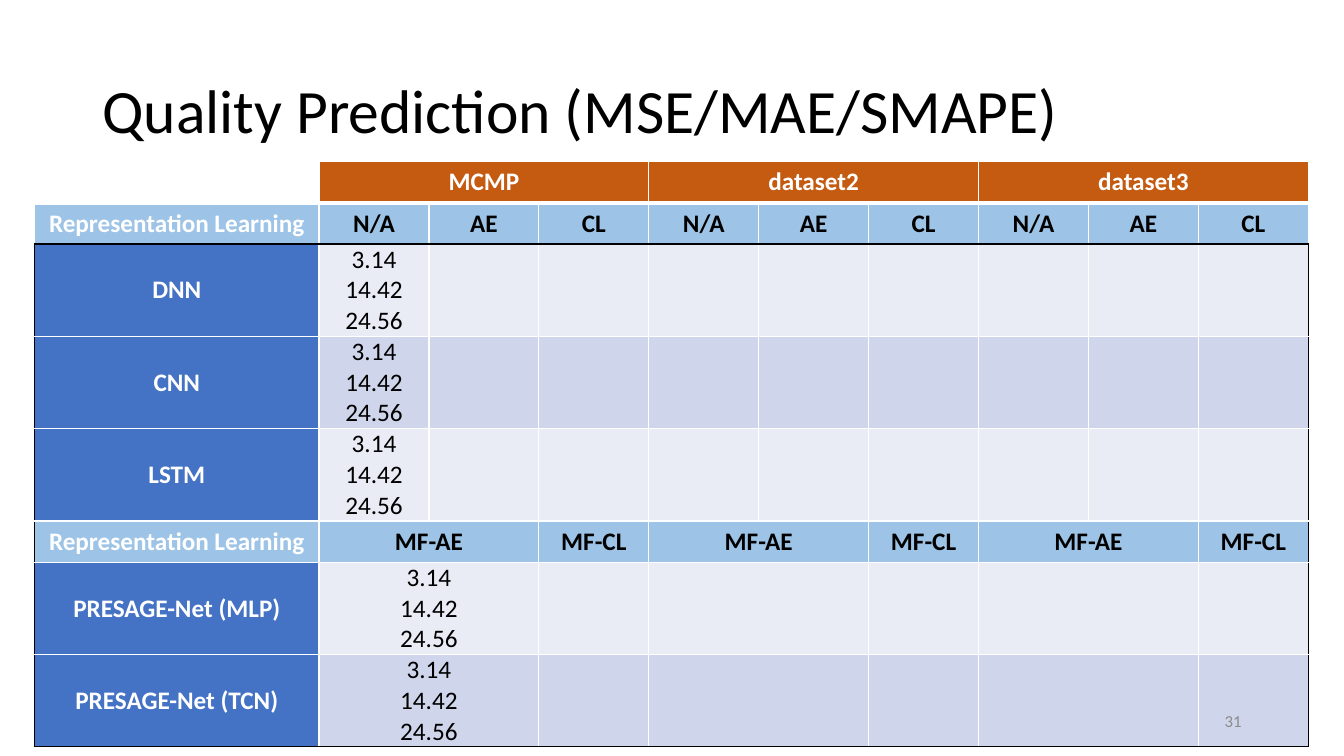
import pptx
import pptx.dml.color
import pptx.enum.text
import pptx.oxml
import pptx.oxml.ns
import pptx.util
from dataclasses import dataclass
from pptx.util import Cm


@dataclass(frozen=True)
class Theme:
    font: str = "Calibri"
    title_size: int = 44
    table_size: int = 18
    number_size: int = 12
    black: str = "000000"
    white: str = "FFFFFF"
    grey: str = "8C8C8C"
    orange: str = "C55A11"
    sky: str = "9DC3E6"
    blue: str = "4472C4"
    light_band: str = "E9EBF5"
    dark_band: str = "CFD5EA"


THEME = Theme()
DATASETS = ["MCMP", "dataset2", "dataset3"]
SCORES = "3.14\n14.42\n24.56"
LABEL_WIDTH, METHOD_WIDTH = Cm(7.17), Cm(2.77)
HEADER_HEIGHT, SCORE_HEIGHT = Cm(1.04), Cm(2.32)


@dataclass(frozen=True)
class Row:
    label: str
    entries: list
    label_fill: str
    fill: str
    color: str = THEME.black
    bold: bool = True


def score_row(label, spans, fill):
    groups = spans * len(DATASETS)
    entries = [(SCORES if place == 0 else "", span) for place, span in enumerate(groups)]
    return Row(label, entries, THEME.blue, fill, bold=False)


def method_row(methods):
    return Row("Representation Learning", methods * len(DATASETS), THEME.sky, THEME.sky)


def table_rows():
    light, dark = THEME.light_band, THEME.dark_band
    single, fused = [1, 1, 1], [2, 1]
    return [
        Row("", [(name, 3) for name in DATASETS], "", THEME.orange, THEME.white),
        method_row([("N/A", 1), ("AE", 1), ("CL", 1)]),
        score_row("DNN", single, light),
        score_row("CNN", single, dark),
        score_row("LSTM", single, light),
        method_row([("MF-AE", 2), ("MF-CL", 1)]),
        score_row("PRESAGE-Net (MLP)", fused, light),
        score_row("PRESAGE-Net (TCN)", fused, dark),
    ]


def format_text(frame, size, color, align, bold=False):
    for para in frame.paragraphs:
        para.alignment = align
        para.font.name = THEME.font
        para.font.size = pptx.util.Pt(size)
        para.font.bold = bold
        para.font.color.rgb = pptx.dml.color.RGBColor.from_string(color)


def set_borders(cell, row, column, last_row, last_column):
    framed = row >= 2
    black_edges = {
        "L": framed and column == 0,
        "R": framed and column == last_column,
        "T": row == 2,
        "B": row in (1, last_row),
    }
    properties = cell._tc.get_or_add_tcPr()
    for side, is_black in black_edges.items():
        width = pptx.util.Pt(3 if row == 0 and side == "B" else 1)
        color = THEME.black if is_black else THEME.white
        properties.append(pptx.oxml.parse_xml(
            f'<a:ln{side} {pptx.oxml.ns.nsdecls("a")} w="{int(width)}">'
            f'<a:solidFill><a:srgbClr val="{color}"/></a:solidFill></a:ln{side}>'))


def fill_cell(cell, text, fill, color, bold):
    if fill:
        cell.fill.solid()
        cell.fill.fore_color.rgb = pptx.dml.color.RGBColor.from_string(fill)
    else:
        cell.fill.background()
    cell.vertical_anchor = pptx.enum.text.MSO_ANCHOR.MIDDLE
    cell.margin_left = cell.margin_right = cell.margin_top = cell.margin_bottom = 0
    if text:
        cell.text = text
    format_text(cell.text_frame, THEME.table_size, color, pptx.enum.text.PP_ALIGN.CENTER, bold)


def add_title(page, text):
    title = page.shapes.title
    title.left, title.top, title.width, title.height = Cm(2.33), Cm(1.01), Cm(29.21), Cm(3.68)
    frame = title.text_frame
    frame.text = text
    frame.auto_size = pptx.enum.text.MSO_AUTO_SIZE.NONE
    frame.vertical_anchor = pptx.enum.text.MSO_ANCHOR.MIDDLE
    frame.paragraphs[0].line_spacing = 0.9
    format_text(frame, THEME.title_size, THEME.black, pptx.enum.text.PP_ALIGN.LEFT)


def add_results_table(page, rows):
    column_count = 1 + sum(span for _, span in rows[0].entries)
    heights = [HEADER_HEIGHT if row.bold else SCORE_HEIGHT for row in rows]
    width = LABEL_WIDTH + METHOD_WIDTH * (column_count - 1)
    table = page.shapes.add_table(
        len(rows), column_count, Cm(0.87), Cm(4.07), width, sum(heights)).table
    table.first_row = table.horz_banding = False
    for index, column in enumerate(table.columns):
        column.width = METHOD_WIDTH if index else LABEL_WIDTH
    for index, row in enumerate(rows):
        table.rows[index].height = heights[index]
        for column in range(column_count):
            set_borders(table.cell(index, column), index, column, len(rows) - 1, column_count - 1)
        fill_cell(table.cell(index, 0), row.label, row.label_fill, THEME.white, True)
        column = 1
        for text, span in row.entries:
            cell = table.cell(index, column)
            if span > 1:
                cell.merge(table.cell(index, column + span - 1))
            fill_cell(cell, text, row.fill, row.color, row.bold)
            column += span


def add_page_number(page, number):
    box = page.shapes.add_textbox(Cm(23.92), Cm(17.65), Cm(7.62), Cm(1.01))
    frame = box.text_frame
    frame.word_wrap = True
    frame.vertical_anchor = pptx.enum.text.MSO_ANCHOR.MIDDLE
    frame.text = number
    format_text(frame, THEME.number_size, THEME.grey, pptx.enum.text.PP_ALIGN.RIGHT)


def main():
    deck = pptx.Presentation()
    deck.slide_width, deck.slide_height = Cm(33.87), Cm(19.05)
    page = deck.slides.add_slide(deck.slide_layouts.get_by_name("Title Only"))
    add_title(page, "Quality Prediction (MSE/MAE/SMAPE)")
    add_results_table(page, table_rows())
    add_page_number(page, "31")
    deck.save("out.pptx")


if __name__ == "__main__":
    main()
